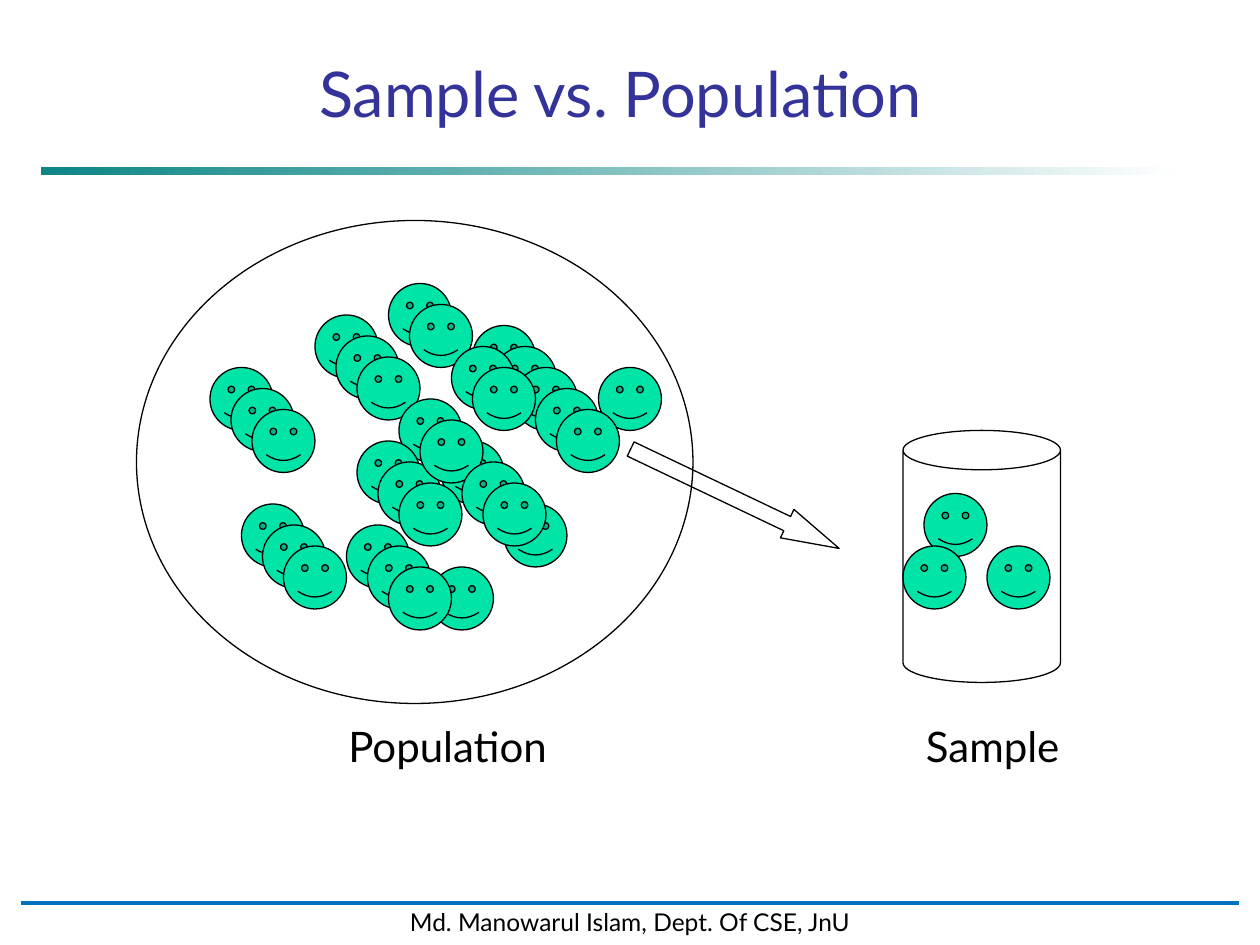
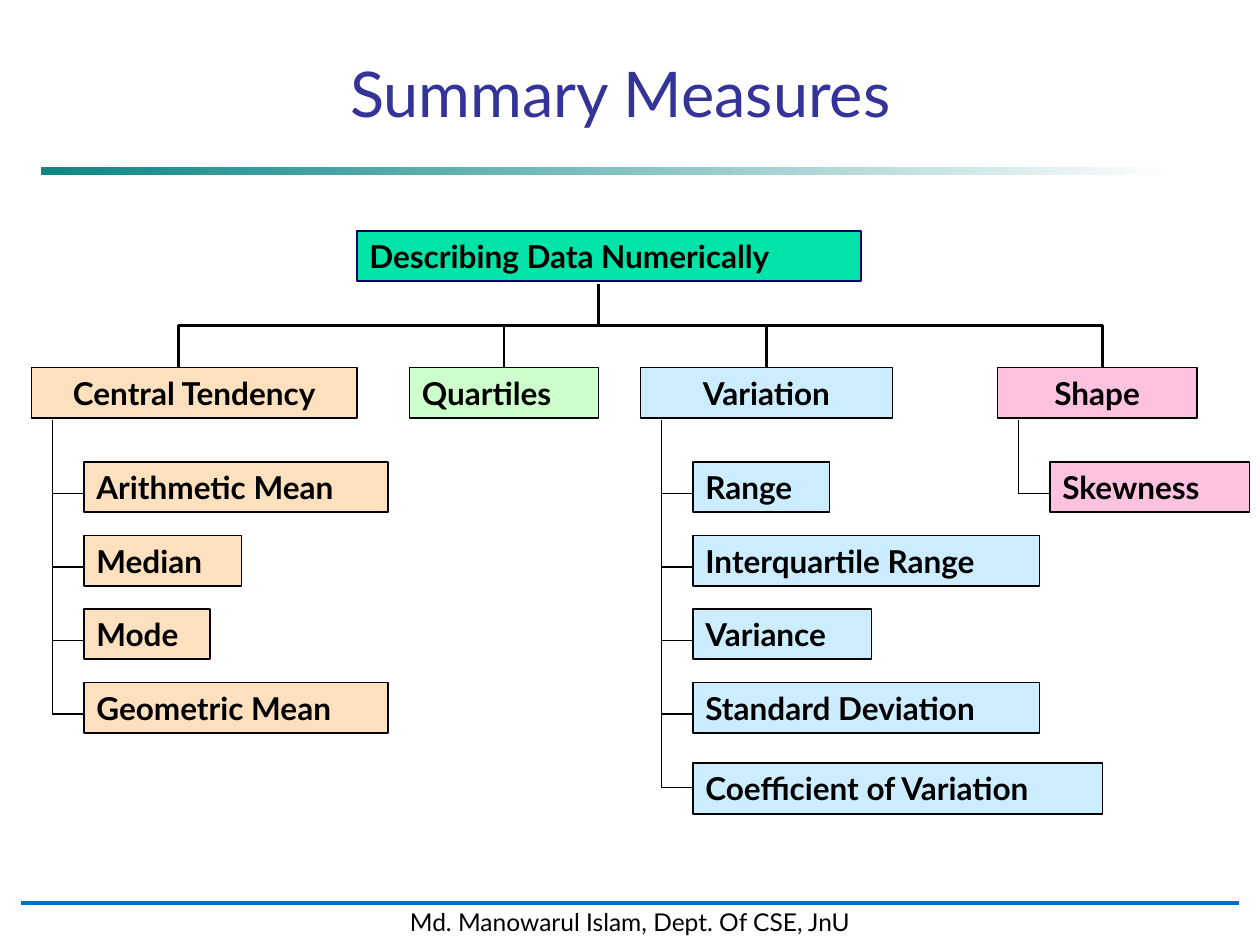
from dataclasses import dataclass
from typing import NamedTuple

from lxml import etree
from pptx import Presentation
from pptx.dml.color import RGBColor
from pptx.enum.shapes import MSO_CONNECTOR, MSO_SHAPE
from pptx.enum.text import MSO_ANCHOR, PP_ALIGN
from pptx.oxml.ns import qn
from pptx.util import Cm, Pt

RECT, OVAL, CAN = MSO_SHAPE.RECTANGLE, MSO_SHAPE.OVAL, MSO_SHAPE.CAN
FACE, ARROW = MSO_SHAPE.SMILEY_FACE, MSO_SHAPE.LEFT_ARROW
STRAIGHT = MSO_CONNECTOR.STRAIGHT
LEFT, CENTER = PP_ALIGN.LEFT, PP_ALIGN.CENTER
TOP, BOTTOM = MSO_ANCHOR.TOP, MSO_ANCHOR.BOTTOM

GRID = 2.54 / 12  # cm; all places and sizes count these steps
PAGE = (120, 90)


@dataclass(frozen=True)
class Theme:
    font: str = "Lato"
    title: str = "333399"
    ink: str = "000000"
    paper: str = "FFFFFF"
    teal: str = "008080"
    rule: str = "0070C0"
    mint: str = "00E4A8"
    navy: str = "000066"
    peach: str = "FDE0BD"
    green: str = "CCFFCC"
    sky: str = "CCECFF"
    pink: str = "FCC2E0"
    title_size: int = 36
    label_size: int = 24
    box_size: int = 18
    foot_size: int = 14
    thin: float = 0.75
    edge: float = 1
    thick: float = 1.5
    foot_line: float = 1.75


T = Theme()


class Leaf(NamedTuple):
    text: str
    width: float
    dip: float = 0


class Branch(NamedTuple):
    text: str
    left: float
    width: float
    stem: float
    color: str
    align: PP_ALIGN
    leaves: tuple = ()


class Chain(NamedTuple):
    """Faces stepping down to the right; layer sets when the first is drawn."""
    left: float
    top: float
    count: int = 1
    layer: int = 2


CROWD = (
    Chain(17, 9, 3, 0), Chain(24, 6, 2), Chain(25, 17), Chain(32, 10, 5),
    Chain(35, 27), Chain(28, 33), Chain(10, 27, 3), Chain(21, 21, 3),
    Chain(27, 19, 1, 3), Chain(29, 21, 3), Chain(7, 14, 3), Chain(44, 14),
    Chain(20, 29, 3), Chain(30, 12, 2, 5),
)
PICKED = ((2, 6), (8, 11), (0, 11))

BRANCHES = (
    Branch("Central Tendency", 3, 31, 17, T.peach, CENTER, (
        Leaf("Arithmetic Mean", 29), Leaf("Median", 15),
        Leaf("Mode", 12), Leaf("Geometric Mean", 29))),
    Branch("Quartiles", 39, 18, 48, T.green, LEFT),
    Branch("Variation", 61, 24, 73, T.sky, CENTER, (
        Leaf("Range", 13), Leaf("Interquartile Range", 33),
        Leaf("Variance", 17), Leaf("Standard Deviation", 33),
        Leaf("Coefficient of Variation", 39, 0.7))),
    Branch("Shape", 95, 19, 105, T.pink, CENTER, (Leaf("Skewness", 19),)),
)


def rgb(code):
    return RGBColor.from_string(code)


def steps(*counts):
    return [Cm(n * GRID) for n in counts]


def draw(slide, kind, box, fill=None, line=T.ink, width=T.thin):
    shape = slide.shapes.add_shape(kind, *steps(*box))
    shape.shadow.inherit = False
    if fill:
        shape.fill.solid()
        shape.fill.fore_color.rgb = rgb(fill)
    else:
        shape.fill.background()
    if line:
        shape.line.color.rgb = rgb(line)
        shape.line.width = Pt(width)
    else:
        shape.line.fill.background()
    return shape


def link(slide, start, end, color=T.ink, width=T.thin):
    line = slide.shapes.add_connector(STRAIGHT, *steps(*start, *end))
    line.line.color.rgb = rgb(color)
    line.line.width = Pt(width)
    etree.SubElement(line._element.spPr, qn("a:effectLst"))


def write(shape, text, size, color=T.ink, align=LEFT, bold=False,
          anchor=TOP, wrap=True):
    frame = shape.text_frame
    frame.word_wrap = wrap
    frame.vertical_anchor = anchor
    para = frame.paragraphs[0]
    para.text = text
    para.alignment = align
    para.font.name = T.font
    para.font.size = Pt(size)
    para.font.bold = bold
    para.font.color.rgb = rgb(color)


def label(slide, box, text, size, **style):
    write(slide.shapes.add_textbox(*steps(*box)), text, size, **style)


def band(slide, box):
    bar = draw(slide, RECT, box, line=None)
    bar.fill.gradient()
    bar.fill.gradient_angle = 0
    for stop, color in zip(bar.fill.gradient_stops, (T.teal, T.paper)):
        stop.color.rgb = rgb(color)
    tint = bar._element.spPr.find(".//" + qn("a:srgbClr"))
    etree.SubElement(tint, qn("a:alpha"), val="95000")


def footer(slide, box):
    left, top, width, _ = box
    foot = draw(slide, RECT, box, T.paper, T.paper, 2)
    write(foot, "Md. Manowarul Islam, Dept. Of CSE, JnU", T.foot_size,
          align=CENTER, wrap=False)
    rule = top + 0.2
    link(slide, (left, rule), (left + width, rule), T.rule, T.foot_line)


def start(deck, title):
    """Add a slide with the shared title, band and footer."""
    slide = deck.slides.add_slide(deck.slide_layouts[6])
    band(slide, (4, 16, 108, 0.65))
    footer(slide, (2, 85.8, 116, 4))
    label(slide, (8, 5, 102.2, 8), title, T.title_size,
          color=T.title, align=CENTER, anchor=BOTTOM)
    return slide


def face(slide, left, top):
    smile = draw(slide, FACE, (left, top, 6, 6), T.mint)
    smile.adjustments[0] = 0.09 / 2


def crowd(slide, box):
    left, top, width, height = box
    draw(slide, OVAL, box)
    spots = [(chain.layer + n, chain.left + 2 * n, chain.top + 2 * n)
             for chain in CROWD for n in range(chain.count)]
    for _, x, y in sorted(spots, key=lambda spot: spot[0]):
        face(slide, left + x, top + y)
    label(slide, (left + 19, top + height + 1, 22, 6),
          "Population", T.label_size)


def sample(slide, box):
    left, top, width, height = box
    for x, y in PICKED:
        face(slide, left + x, top + y)
    draw(slide, CAN, box).adjustments[0] = 0.25
    label(slide, (left + 1, top + height + 3, 20, 6), "Sample", T.label_size)


def pointer(slide, box):
    arrow = draw(slide, ARROW, box)
    arrow.rotation = 205.5
    arrow.adjustments[0] = 0.5
    arrow.adjustments[1] = 1.83


def node(slide, box, text, fill, align=LEFT, line=T.ink):
    write(draw(slide, RECT, box, fill, line, T.edge), text, T.box_size,
          align=align, bold=True)


def limb(slide, branch, rail, high):
    """Draw a branch below the rail: its stem, head box and leaves."""
    top, spine = rail + 4, branch.left + 2
    link(slide, (branch.stem, rail), (branch.stem, top), width=T.thick)
    node(slide, (branch.left, top, branch.width, high),
         branch.text, branch.color, branch.align)
    for row, leaf in enumerate(branch.leaves):
        y = top + 12 + 7 * row
        link(slide, (spine, y), (spine + 3, y))
        node(slide, (spine + 3, y - 3 + leaf.dip, leaf.width, high),
             leaf.text, branch.color)
    if branch.leaves:
        link(slide, (spine, top + 5), (spine, y))


def tree(slide, box):
    left, top, width, high = box
    rail, mid = top + 9, left + 23
    node(slide, box, "Describing Data Numerically", T.mint, line=T.navy)
    link(slide, (mid, top + 5), (mid, rail), width=T.thick)
    link(slide, (BRANCHES[0].stem, rail), (BRANCHES[-1].stem, rail),
         width=T.thick)
    for branch in BRANCHES:
        limb(slide, branch, rail, high)


def main():
    deck = Presentation()
    deck.slide_width, deck.slide_height = steps(*PAGE)

    slide = start(deck, "Sample vs. Population")
    crowd(slide, (13, 21, 53, 46))
    pointer(slide, (59, 46, 22, 3))
    sample(slide, (86, 41, 15, 24))

    slide = start(deck, "Summary Measures")
    tree(slide, (34, 22, 48, 4.8))

    deck.save("out.pptx")


if __name__ == "__main__":
    main()
